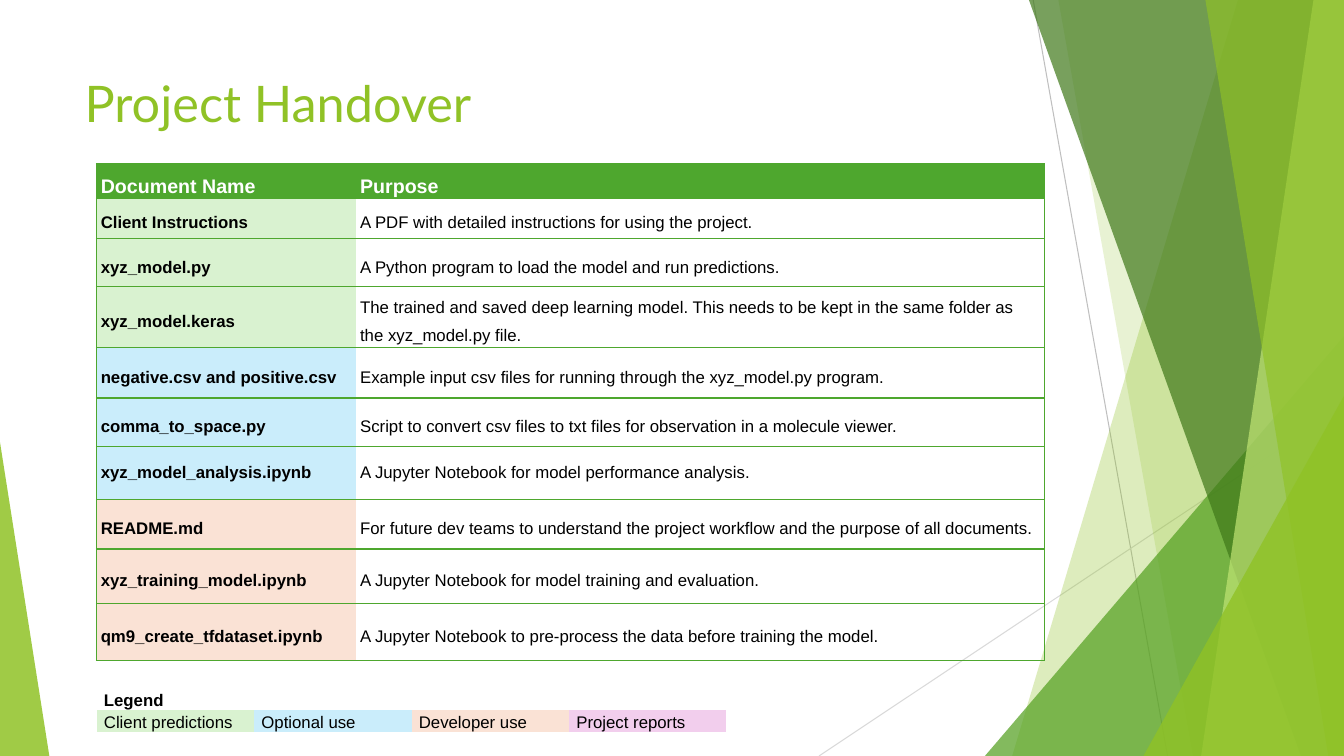
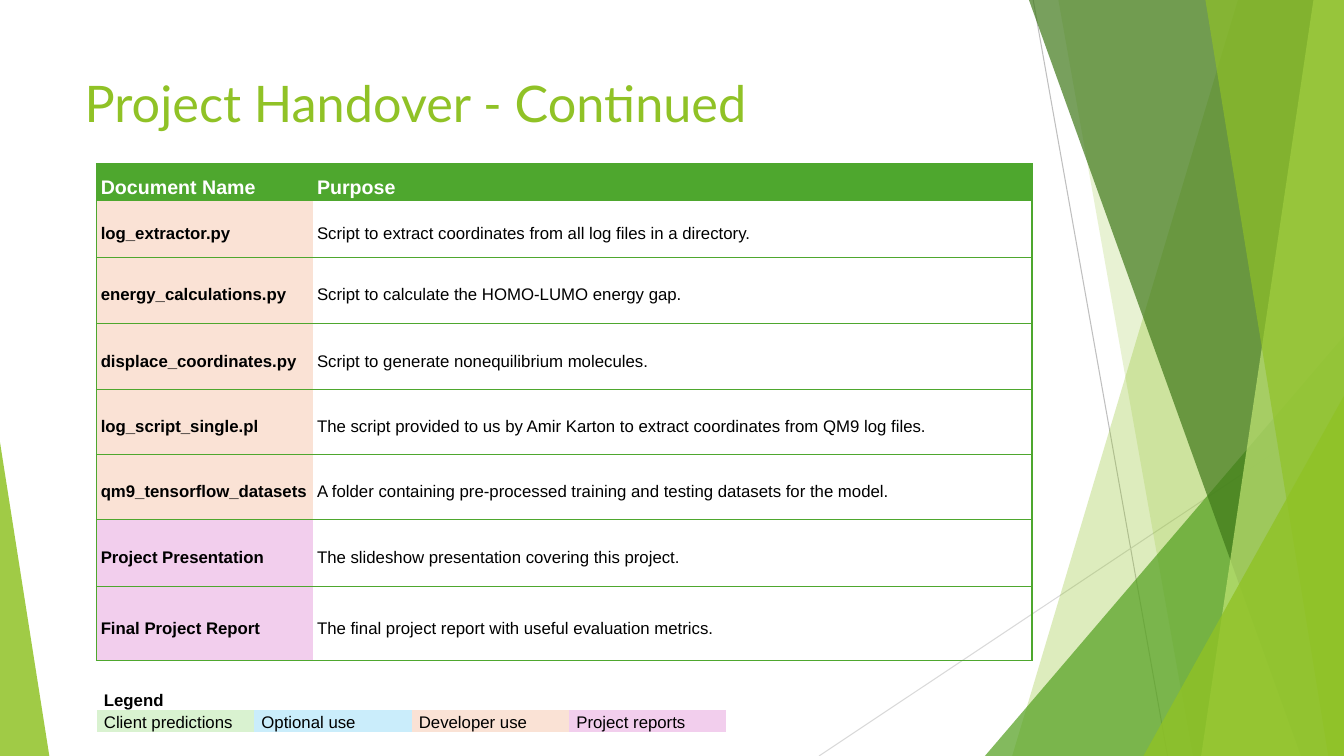
from lxml.etree import SubElement
from pptx import Presentation
from pptx.dml.color import RGBColor
from pptx.enum.shapes import MSO_CONNECTOR as Link, MSO_SHAPE as Form
from pptx.enum.text import MSO_ANCHOR as Anchor, MSO_AUTO_SIZE as Fit, PP_ALIGN as Align
from pptx.oxml.ns import qn
from pptx.util import Pt

# Scale and page
PX = 9525
WIDE, HIGH = 1280, 720

# Colours
LIME, GREEN, WHITE, BLACK = "90C226", "4EA72E", "FFFFFF", "000000"
CLIENT, EXTRA, DEV, REPORT = "D9F2D0", "CAEDFB", "FAE2D5", "F2CEED"
LEGEND = {"Client predictions": CLIENT, "Optional use": EXTRA,
          "Developer use": DEV, "Project reports": REPORT}

# Paragraph spacing
EVEN = {"line_spacing": 1.5, "space_before": Pt(4), "space_after": Pt(4)}
LATE = {"line_spacing": 1.5, "space_after": Pt(8)}
KEY = {"line_spacing": 1.15, "space_after": Pt(8)}
PLAIN = {}

BARE = "{2D5ABB26-0587-4C30-8999-92F81FD0307C}"

# Table rows: height, colour, name, purpose, spacing of name and purpose
FILES = [
    (38, CLIENT, "Client Instructions",
     "A PDF with detailed instructions for using the project.", EVEN, EVEN),
    (46, CLIENT, "xyz_model.py",
     "A Python program to load the model and run predictions.", EVEN, EVEN),
    (58, CLIENT, "xyz_model.keras",
     "The trained and saved deep learning model. This needs to be kept in "
     "the same folder as the xyz_model.py file.", EVEN, EVEN),
    (48, EXTRA, "negative.csv and positive.csv",
     "Example input csv files for running through the xyz_model.py program.", EVEN, EVEN),
    (46, EXTRA, "comma_to_space.py",
     "Script to convert csv files to txt files for observation in a molecule viewer.",
     EVEN, EVEN),
    (51, EXTRA, "xyz_model_analysis.ipynb",
     "A Jupyter Notebook for model performance analysis.", PLAIN, PLAIN),
    (47, DEV, "README.md",
     "For future dev teams to understand the project workflow and the purpose "
     "of all documents.", EVEN, EVEN),
    (52, DEV, "xyz_training_model.ipynb",
     "A Jupyter Notebook for model training and evaluation.", EVEN, EVEN),
    (54, DEV, "qm9_create_tfdataset.ipynb",
     "A Jupyter Notebook to pre-process the data before training the model.", EVEN, EVEN),
]
MORE = [
    (54, DEV, "log_extractor.py",
     "Script to extract coordinates from all log files in a directory.", EVEN, LATE),
    (63, DEV, "energy_calculations.py",
     "Script to calculate the HOMO-LUMO energy gap.", EVEN, LATE),
    (63, DEV, "displace_coordinates.py",
     "Script to generate nonequilibrium molecules.", EVEN, LATE),
    (62, DEV, "log_script_single.pl",
     "The script provided to us by Amir Karton to extract coordinates from QM9 log files.",
     EVEN, LATE),
    (62, DEV, "qm9_tensorflow_datasets",
     "A folder containing pre-processed training and testing datasets for the model.",
     EVEN, LATE),
    (64, REPORT, "Project Presentation",
     "The slideshow presentation covering this project.", LATE, LATE),
    (70, REPORT, "Final Project Report",
     "The final project report with useful evaluation metrics.", EVEN, LATE),
]


def put(item, values):
    for name, value in values.items():
        setattr(item, name, value)


def emu(*sizes):
    return [size * PX for size in sizes]


def paint(fill, tint):
    fill.solid()
    fill.fore_color.rgb = RGBColor.from_string(tint)


def style(font, face, size, tint, bold=False):
    put(font, {"name": face, "size": Pt(size), "bold": bold})
    font.color.rgb = RGBColor.from_string(tint)


# Backdrop facets
def glass(shape, tint, alpha):
    shape.shadow.inherit = False
    shape.line.fill.background()
    paint(shape.fill, tint)
    node = shape.element.spPr.find(".//" + qn("a:srgbClr"))
    SubElement(node, qn("a:alpha"), val=str(alpha * 1000))
    return shape


def band(slide, top, base, tint, alpha):
    pen = slide.shapes.build_freeform(top, 0, scale=PX)
    pen.add_line_segments([(WIDE, 0), (WIDE, HIGH), (base, HIGH)])
    return glass(pen.convert_to_shape(), tint, alpha)


def wedge(slide, left, top, width, peak, tint, alpha):
    box = emu(left, top, width, HIGH - top)
    shape = slide.shapes.add_shape(Form.ISOSCELES_TRIANGLE, *box)
    shape.adjustments[0] = peak
    return glass(shape, tint, alpha)


def rule(slide, ends, tint):
    line = slide.shapes.add_connector(Link.STRAIGHT, *emu(*ends))
    line.line.width = Pt(0.75)
    line.line.color.rgb = RGBColor.from_string(tint)
    SubElement(line.element.spPr, qn("a:effectLst"))
    return line


def adorn(layout, slide):
    """Draw the backdrop and hand it to the layout that the slides share."""
    parts = [
        rule(slide, (984, 0, 1112, HIGH), "BFBFBF"),
        rule(slide, (WIDE, 387, 780, HIGH), "D9D9D9"),
        band(slide, 1179, 964, LIME, 30),
        band(slide, 1008, 1136, LIME, 20),
        wedge(slide, 938, 320, 342, 1, "54A021", 72),
        band(slide, 980, 1239, "3F7819", 70),
        band(slide, 1251, 1144, "C0E474", 70),
        band(slide, 1148, 1265, LIME, 65),
        wedge(slide, 1089, 377, 191, 1, LIME, 80),
        wedge(slide, 0, 421, 47, 0, LIME, 85),
    ]
    for spot, part in enumerate(parts):
        part.element.find(".//" + qn("p:cNvPr")).set("id", str(100 + spot))
        layout.shapes.element.insert(2 + spot, part.element)


# Title
def head(slide, text):
    title = slide.shapes.title
    names = ("left", "top", "width", "height")
    put(title, dict(zip(names, emu(71, 64, 902, 138))))
    frame = title.text_frame
    put(frame, {"text": text, "vertical_anchor": Anchor.TOP,
                "word_wrap": True, "auto_size": Fit.NONE})
    frame.paragraphs[0].alignment = Align.LEFT
    style(frame.paragraphs[0].runs[0].font, "Lato", 36, LIME)


# Tables
def grid(slide, left, top, cols, rows):
    box = emu(left, top, sum(cols), sum(rows))
    table = slide.shapes.add_table(len(rows), len(cols), *box).table
    put(table, {"first_row": False, "horz_banding": False})
    table._tbl.tblPr.find(qn("a:tableStyleId")).text = BARE
    for col, width in zip(table.columns, cols):
        col.width = width * PX
    for row, height in zip(table.rows, rows):
        row.height = height * PX
    return table


def edge(cell, sides):
    for side in sides:
        line = SubElement(cell._tc.get_or_add_tcPr(), qn("a:ln" + side), w=str(Pt(1)))
        SubElement(SubElement(line, qn("a:solidFill")), qn("a:srgbClr"), val=GREEN)


def write(cell, text, space, pad, tint=None, size=12, ink=BLACK, bold=False,
          anchor=Anchor.MIDDLE):
    put(cell, {"margin_left": pad * PX, "margin_right": pad * PX, "margin_top": 0,
               "margin_bottom": 0, "vertical_anchor": anchor})
    if tint:
        paint(cell.fill, tint)
    else:
        cell.fill.background()
    para = cell.text_frame.paragraphs[0]
    put(para, space)
    if text:
        run = para.add_run()
        run.text = text
        style(run.font, "Arial", size, ink, bold)
    SubElement(para._p, qn("a:endParaRPr"), sz=str(size * 100))


def legend(slide):
    table = grid(slide, 92, 656, [150] * len(LEGEND), [20, 20])
    for col, (text, tint) in enumerate(LEGEND.items()):
        write(table.cell(0, col), "" if col else "Legend", KEY, 7, bold=True,
              anchor=Anchor.TOP)
        write(table.cell(1, col), text, KEY, 7, tint, anchor=Anchor.TOP)


def listing(slide, cols, top, rows):
    table = grid(slide, 92, 156, cols, [top] + [row[0] for row in rows])
    for row in table.rows:
        edge(row.cells[0], "LTB")
        edge(row.cells[1], "RTB")
    for col, text in enumerate(("Document Name", "Purpose")):
        write(table.cell(0, col), text, EVEN, 4, GREEN, 14, WHITE, True)
    for spot, (_, tint, name, use, first, second) in enumerate(rows, 1):
        write(table.cell(spot, 0), name, first, 4, tint, bold=True)
        write(table.cell(spot, 1), use, second, 4)


def main():
    deck = Presentation()
    put(deck, {"slide_width": WIDE * PX, "slide_height": HIGH * PX})
    layout = deck.slide_layouts[5]
    pages = [
        ("Project Handover", (247, 656), 33, FILES),
        ("Project Handover - Continued", (206, 685), 35, MORE),
    ]
    for spot, (title, cols, top, rows) in enumerate(pages):
        slide = deck.slides.add_slide(layout)
        if spot == 0:
            adorn(layout, slide)
        head(slide, title)
        legend(slide)
        listing(slide, cols, top, rows)
    deck.save("out.pptx")


if __name__ == "__main__":
    main()
